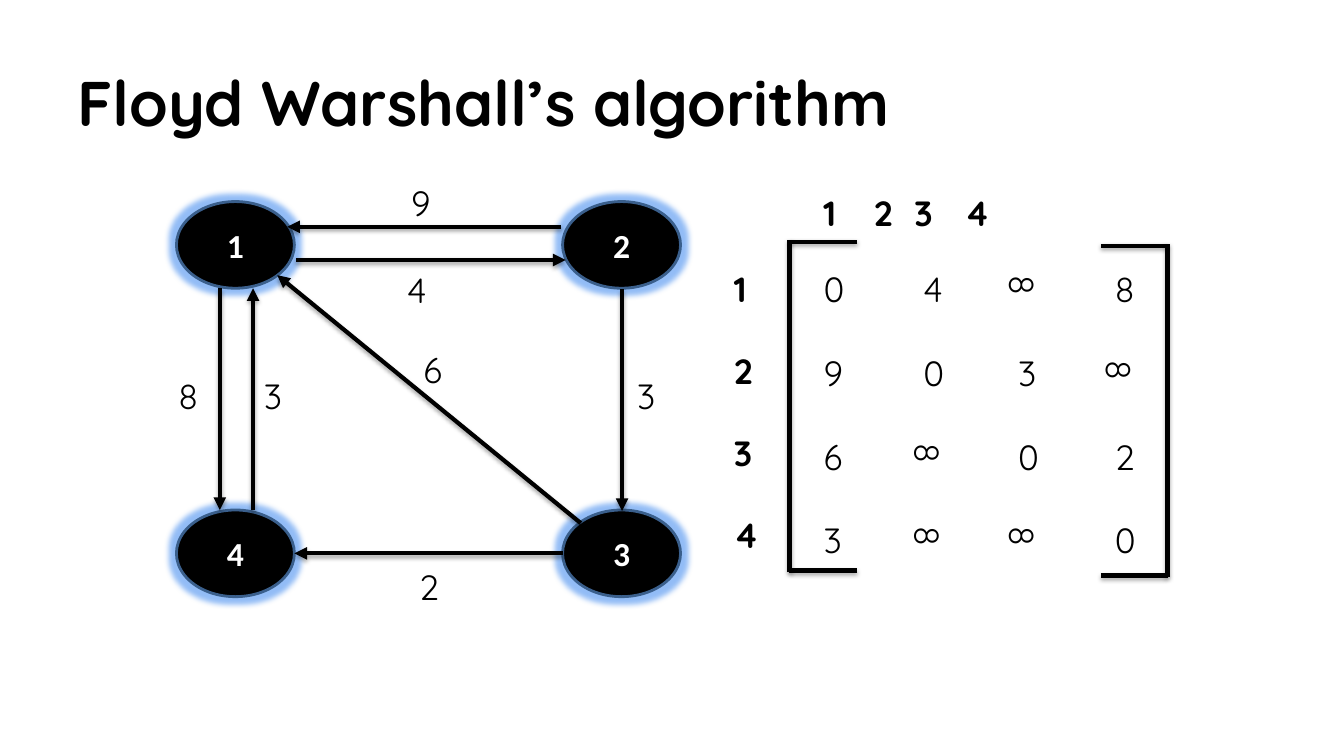
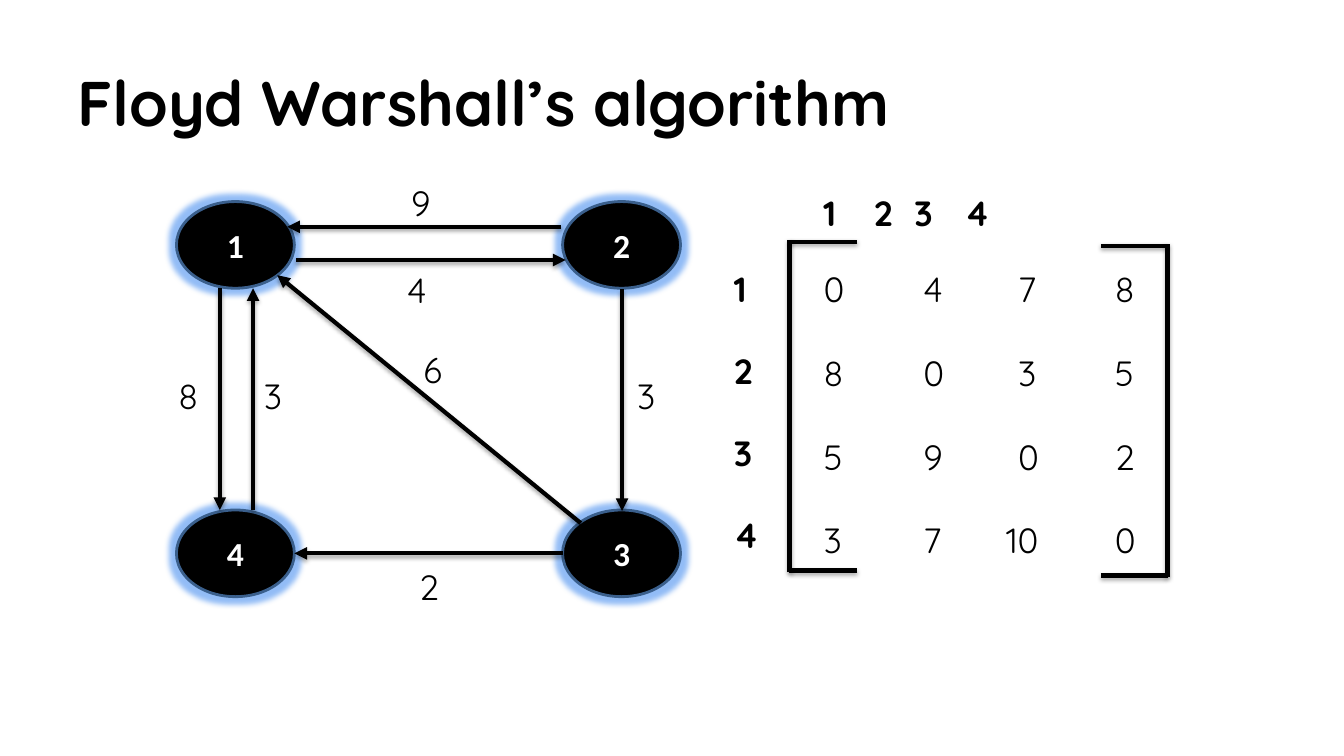
from typing import NamedTuple

from lxml import etree
from pptx import Presentation
from pptx.dml.color import RGBColor
from pptx.enum import shapes, text
from pptx.oxml import ns, parse_xml
from pptx.util import Inches, Pt

COLORS = {"ink": "000000", "paper": "FFFFFF", "rim": "3A5F8C", "glow": "4A90F0"}
FONT, NODE_FONT = "Quicksand", "Calibri"
TITLE = "Floyd Warshall’s algorithm"
NODE_SIZE = (1.17, 0.86)
LABEL_SIZE = (0.53, 0.52)
COLUMNS = (8.07, 9.06, 10.0, 10.96)
ROWS = (2.6, 3.44, 4.27, 5.09)


class Node(NamedTuple):
    name: str
    left: float
    top: float


class Edge(NamedTuple):
    start: tuple[float, float]
    end: tuple[float, float]
    weight: str
    label: tuple[float, float]


class Bracket(NamedTuple):
    spine: float
    tip: float
    top: float
    bottom: float


NODES = (Node("1", 1.75, 2), Node("2", 5.58, 2),
         Node("4", 1.75, 5.06), Node("3", 5.58, 5.06))
EDGES = (
    Edge((6.17, 2.87), (6.17, 5.07), "3", (6.22, 3.67)),
    Edge((2.94, 2.58), (5.61, 2.58), "4", (3.94, 2.61)),
    Edge((5.76, 5.19), (2.75, 2.73), "6", (4.1, 3.41)),
    Edge((5.58, 5.49), (2.92, 5.49), "2", (4.06, 5.56)),
    Edge((5.56, 2.25), (2.85, 2.25), "9", (3.98, 1.75)),
    Edge((2.51, 5.06), (2.51, 2.86), "3", (2.52, 3.67)),
    Edge((2.18, 2.86), (2.18, 5.06), "8", (1.67, 3.67)),
)
BRACKETS = (Bracket(7.83, 8.5, 2.4, 5.66), Bracket(11.58, 10.92, 2.44, 5.71))
INFINITY = "∞"
MATRICES = (
    (("0", "4", INFINITY, "8"),
     ("9", "0", "3", INFINITY),
     ("6", INFINITY, "0", "2"),
     ("3", INFINITY, INFINITY, "0")),
    (("0", "4", "7", "8"),
     ("8", "0", "3", "5"),
     ("5", "9", "0", "2"),
     ("3", "7", "10", "0")),
)


def rgb(name: str) -> RGBColor:
    return RGBColor.from_string(COLORS[name])


def write(shape, *lines: str, size: float = 25, font: str = FONT, color: str = "ink",
          bold: bool = False, align=None, gap: float = 0, insets=(0.1, 0.05)) -> None:
    """Fill a shape with one paragraph per line, gap points apart."""
    frame = shape.text_frame
    frame.word_wrap = True
    frame.margin_left = frame.margin_right = Inches(insets[0])
    frame.margin_top = frame.margin_bottom = Inches(insets[1])
    for index, line in enumerate(lines):
        para = frame.add_paragraph() if index else frame.paragraphs[0]
        para.alignment = align
        para.space_after = Pt(gap)
        span = para.add_run()
        span.text = line
        span.font.size, span.font.name, span.font.bold = Pt(size), font, bold
        span.font.color.rgb = rgb(color)


def add_text(page, left: float, top: float, width: float, height: float,
             *lines: str, turn: float = 0, **style) -> None:
    box = page.shapes.add_textbox(*map(Inches, (left, top, width, height)))
    box.rotation = turn
    write(box, *lines, **style)


def set_effect(shape, kind: str, color: str, alpha: int, **settings: int) -> None:
    """Give a shape a single glow or shadow."""
    properties = shape.element.spPr
    effects = properties.find(ns.qn("a:effectLst"))
    if effects is None:
        effects = etree.SubElement(properties, ns.qn("a:effectLst"))
    attributes = " ".join(f'{key}="{value}"' for key, value in settings.items())
    effects.append(parse_xml(
        f'<a:{kind} {ns.nsdecls("a")} {attributes}><a:srgbClr val="{COLORS[color]}">'
        f'<a:alpha val="{alpha * 1000}"/></a:srgbClr></a:{kind}>'))


def add_line(parent, start: tuple[float, float], end: tuple[float, float],
             arrow: bool = False) -> None:
    line = parent.shapes.add_connector(
        shapes.MSO_CONNECTOR.STRAIGHT, *map(Inches, (*start, *end)))
    line.line.color.rgb = rgb("ink")
    line.line.width = Pt(3)
    if arrow:
        stroke = line.element.spPr.find(ns.qn("a:ln"))
        etree.SubElement(stroke, ns.qn("a:tailEnd"), type="triangle")
    set_effect(line, "outerShdw", "ink", 35, blurRad=Pt(3.1), dist=Pt(1.8),
               dir=5400000, rotWithShape=0)


def add_node(page, node: Node) -> None:
    oval = page.shapes.add_shape(
        shapes.MSO_SHAPE.OVAL, *map(Inches, (node.left, node.top, *NODE_SIZE)))
    oval.fill.solid()
    oval.fill.fore_color.rgb = rgb("ink")
    oval.line.color.rgb = rgb("rim")
    oval.line.width = Pt(2)
    oval.shadow.inherit = False
    set_effect(oval, "glow", "glow", 60, rad=Pt(8))
    oval.text_frame.vertical_anchor = text.MSO_ANCHOR.MIDDLE
    write(oval, node.name, size=24, font=NODE_FONT, color="paper", bold=True,
          align=text.PP_ALIGN.CENTER, insets=(0.13, 0.07))


def add_graph(page) -> None:
    for node in NODES:
        add_node(page, node)
    for edge in EDGES:
        add_line(page, edge.start, edge.end, arrow=True)
    for edge in EDGES:
        add_text(page, *edge.label, *LABEL_SIZE, edge.weight)


def add_bracket(page, bracket: Bracket) -> None:
    spine, tip, top, bottom = bracket
    group = page.shapes.add_group_shape()
    add_line(group, (spine, bottom + 0.01), (spine, top - 0.02))
    for level in (top, bottom):
        add_line(group, (tip, level), (spine, level))


def add_entry(page, left: float, top: float, value: str) -> None:
    """Place a matrix value; infinity is an eight lying on its side."""
    if value == INFINITY:
        add_text(page, left - 0.1, top + 0.02, 0.49, 0.52, "8", turn=90)
    else:
        shift = 0.12 * (len(value) - 1)
        add_text(page, left - shift, top, 0.43 + 2 * shift, 0.52, value)


def add_matrix(page, matrix: tuple[tuple[str, ...], ...]) -> None:
    add_text(page, 7.94, 1.83, 3.64, 0.98, " 1\t 2\t3\t4", bold=True,
             insets=(0.13, 0.07))
    add_text(page, 7.18, 2.6, 0.62, 3.05, "1", "2", "3", "4", bold=True, gap=28.75)
    for bracket in BRACKETS:
        add_bracket(page, bracket)
    for top, values in zip(ROWS, matrix):
        for left, value in zip(COLUMNS, values):
            add_entry(page, left, top, value)


def main() -> None:
    deck = Presentation()
    deck.slide_width, deck.slide_height = Inches(13.33), Inches(7.5)
    for matrix in MATRICES:
        page = deck.slides.add_slide(deck.slide_layouts[6])
        add_text(page, 0.67, 0.58, 12.18, 0.86, TITLE, size=45, bold=True)
        add_graph(page)
        add_matrix(page, matrix)
    deck.save("out.pptx")


if __name__ == "__main__":
    main()
